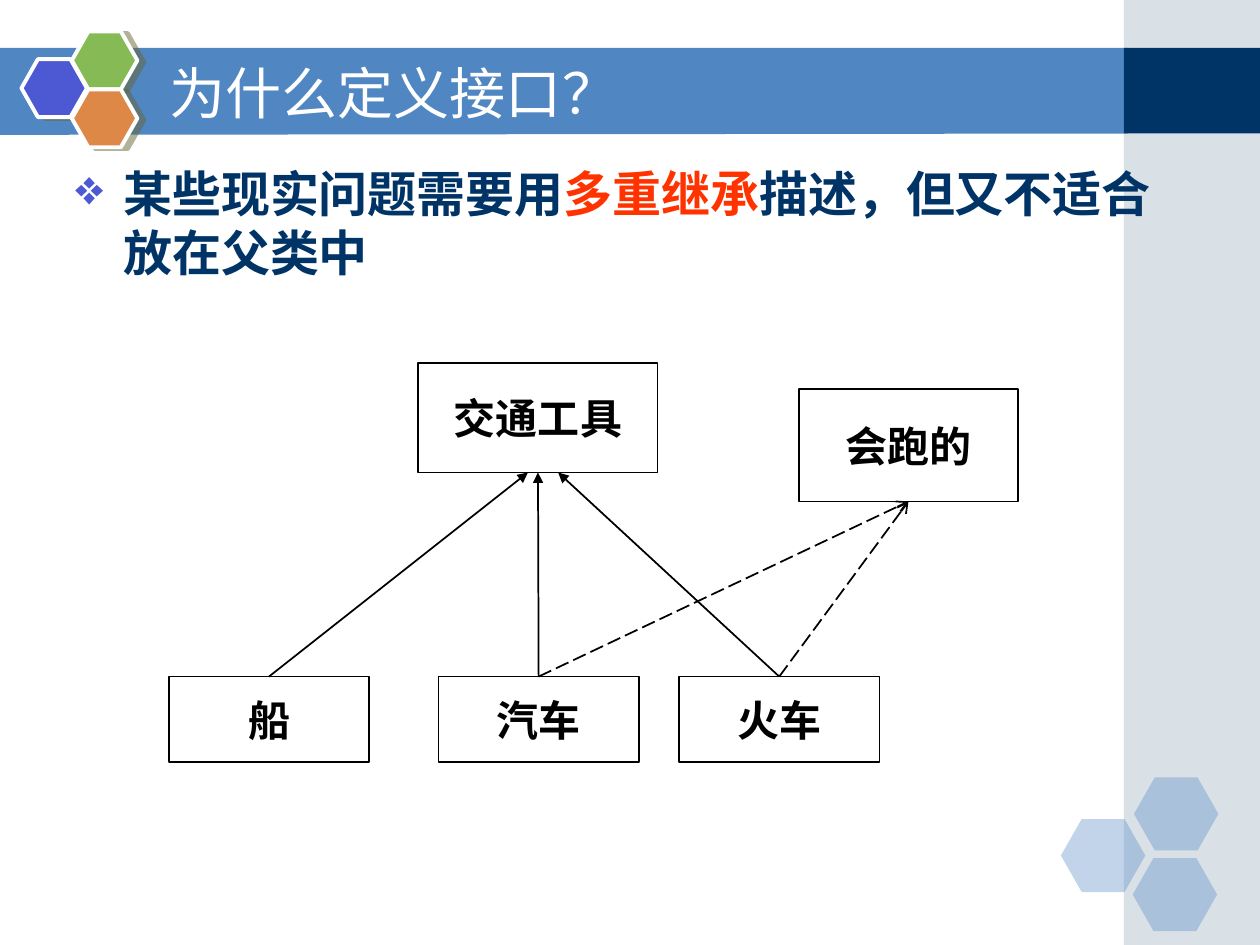
from lxml import etree
from pptx import Presentation
from pptx.dml.color import RGBColor
from pptx.enum.dml import MSO_LINE
from pptx.enum.shapes import MSO_CONNECTOR, MSO_SHAPE
from pptx.enum.text import MSO_ANCHOR, PP_ALIGN
from pptx.oxml import parse_xml
from pptx.oxml.ns import nsdecls, qn
from pptx.util import Inches, Pt

NAVY, BLUE, WHITE, BLACK = "003366", "5086C2", "FFFFFF", "000000"
VIOLET, RED = "4C59D2", "FF3300"


def rgb(value):
    return RGBColor.from_string(value)


def a_xml(tag, content=""):
    """Build a DrawingML element from its tag with attributes and its content."""
    name = tag.split()[0]
    return parse_xml(f'<a:{tag} {nsdecls("a")}>{content}</a:{name}>')


class Deck:
    font = "DejaVu Sans"

    def __init__(self):
        self.prs = Presentation()
        self.prs.slide_width, self.prs.slide_height = Inches(10), Inches(7.5)
        self.s = self.prs.slides.add_slide(self.prs.slide_layouts[6])

    def run(self, p, text, size, color, bold=False):
        r = p.add_run()
        r.text = text
        r.font.size, r.font.bold = Pt(size), bold
        r.font.name, r.font.color.rgb = self.font, rgb(color)
        ea = etree.SubElement(r.font._element, qn("a:ea"))
        ea.set("typeface", self.font)

    def shape(self, kind, box, fill=None, line=None, width=1, alpha=None):
        sp = self.s.shapes.add_shape(kind, *map(Inches, box))
        self.paint(sp, fill, line, width, alpha)
        return sp

    def paint(self, sp, fill, line=None, width=1, alpha=None):
        sp.shadow.inherit = False
        if fill:
            sp.fill.solid()
            sp.fill.fore_color.rgb = rgb(fill)
        else:
            sp.fill.background()
        if alpha:
            color = sp._element.spPr.find(qn("a:solidFill"))[0]
            color.append(a_xml(f'alpha val="{alpha * 1000}"'))
        if line:
            sp.line.color.rgb, sp.line.width = rgb(line), Pt(width)
        else:
            sp.line.fill.background()

    def polygon(self, points, fill):
        start, *rest = [(Inches(x), Inches(y)) for x, y in points]
        fb = self.s.shapes.build_freeform(*start)
        fb.add_line_segments(rest, close=True)
        self.paint(fb.convert_to_shape(), fill)

    def hexagon(self, box, fill, **style):
        sp = self.shape(MSO_SHAPE.HEXAGON, box, fill, **style)
        sp.adjustments[0] = 0.285
        return sp

    def shadow(self, sp, color, alpha, distance, degrees):
        effects = sp._element.spPr.find(qn("a:effectLst"))
        effects.append(a_xml(
            f'outerShdw dist="{Pt(distance)}" dir="{degrees * 60000}" algn="ctr" rotWithShape="0"',
            f'<a:srgbClr val="{color}"><a:alpha val="{alpha * 1000}"/></a:srgbClr>'))

    def text(self, box, runs, size, bold=False, anchor=MSO_ANCHOR.TOP):
        tf = self.s.shapes.add_textbox(*map(Inches, box)).text_frame
        tf.word_wrap, tf.vertical_anchor = True, anchor
        p = tf.paragraphs[0]
        for text, color in runs:
            self.run(p, text, size, color, bold)
        return p

    def bullet(self, p, char, color, indent):
        pPr = p._p.get_or_add_pPr()
        pPr.set("marL", str(Inches(indent)))
        pPr.set("indent", str(-Inches(indent)))
        pPr.append(a_xml("buClr", f'<a:srgbClr val="{color}"/>'))
        pPr.append(a_xml(f'buChar char="{char}"'))

    def class_box(self, box, name):
        sp = self.shape(MSO_SHAPE.RECTANGLE, box, line=BLACK)
        tf = sp.text_frame
        tf.word_wrap, tf.vertical_anchor = True, MSO_ANCHOR.MIDDLE
        tf.margin_left = tf.margin_right = Inches(0.05)
        tf.margin_top = tf.margin_bottom = Inches(0.03)
        p = tf.paragraphs[0]
        p.alignment = PP_ALIGN.CENTER
        self.run(p, name, 24, BLACK, True)

    def arrow(self, start, end, head="triangle", dash=None):
        c = self.s.shapes.add_connector(MSO_CONNECTOR.STRAIGHT, *map(Inches, start + end))
        c.line.color.rgb, c.line.width = rgb(BLACK), Pt(1)
        if dash:
            c.line.dash_style = dash
        c.line._get_or_add_ln().append(a_xml(f'tailEnd type="{head}"'))
        c._element.spPr.append(a_xml("effectLst"))


def main():
    d = Deck()

    # Title band, side panel and hexagon ornaments
    d.polygon([(-0.01, 0.38), (8.95, 0.38), (8.95, 1.06), (-0.01, 1.07)], BLUE)
    d.shape(MSO_SHAPE.RECTANGLE, (8.92, 0, 1.08, 7.5), "A0B5C4", alpha=40)
    d.shape(MSO_SHAPE.RECTANGLE, (8.92, 0.38, 1.08, 0.68), NAVY)
    for x, y in [(8.42, 6.5), (9, 6.17), (8.99, 6.81)]:
        d.hexagon((x, y, 0.67, 0.58), BLUE, alpha=35)
    for x, y, color in [(0.17, 0.47, VIOLET), (0.57, 0.25, "85BA54"), (0.57, 0.71, "DE8848")]:
        sp = d.hexagon((x, y, 0.52, 0.46), color, line=WHITE, width=2.25)
        d.shadow(sp, "666633", 50, 4.1, 14)

    d.text((1.25, 0.42, 7.33, 0.62), [("为什么定义接口？", WHITE)], 32, anchor=MSO_ANCHOR.MIDDLE)
    p = d.text((0.5, 1.25, 9, 1.14), [
        ("某些现实问题需要用", NAVY),
        ("多重继承", RED),
        ("描述，但又不适合放在父类中", NAVY),
    ], 28, bold=True)
    p.space_before = Pt(7)
    d.bullet(p, "❖", VIOLET, 0.38)

    # Class diagram: solid arrows to the parent, dashed ones to the interface
    d.class_box((3.32, 2.88, 1.9, 0.87), "交通工具")
    d.class_box((6.34, 3.09, 1.74, 0.89), "会跑的")
    child_y, child_w = 5.37, 1.59
    children = [("船", 1.34, 4.19, False), ("汽车", 3.48, 4.27, True), ("火车", 5.39, 4.43, True)]
    for name, x, parent_x, runs_on_land in children:
        d.class_box((x, child_y, child_w, 0.68), name)
        top = (x + child_w / 2, child_y)
        d.arrow(top, (parent_x, 3.75))
        if runs_on_land:
            d.arrow(top, (7.21, 3.98), "arrow", MSO_LINE.LONG_DASH)

    d.prs.save("out.pptx")


if __name__ == "__main__":
    main()
